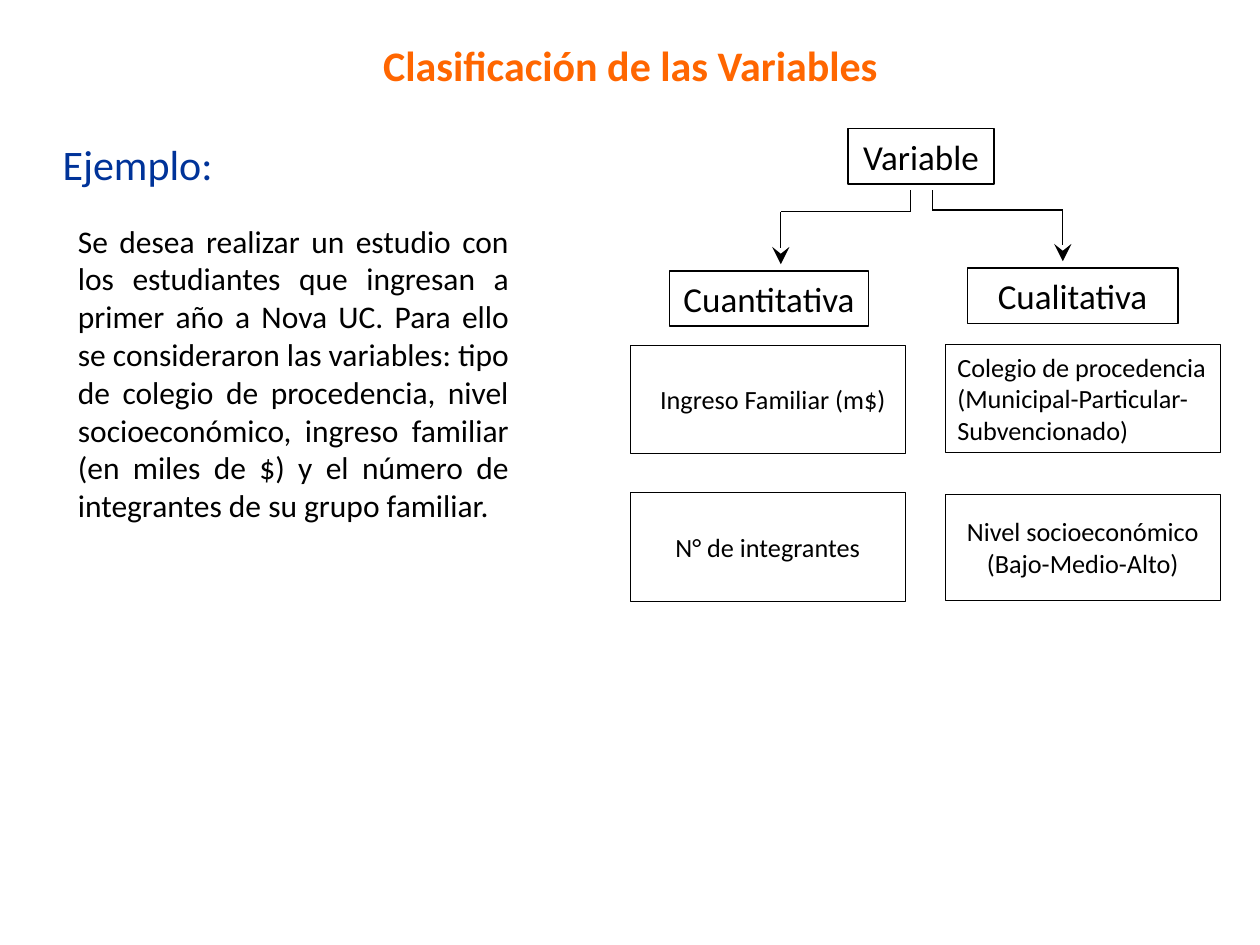
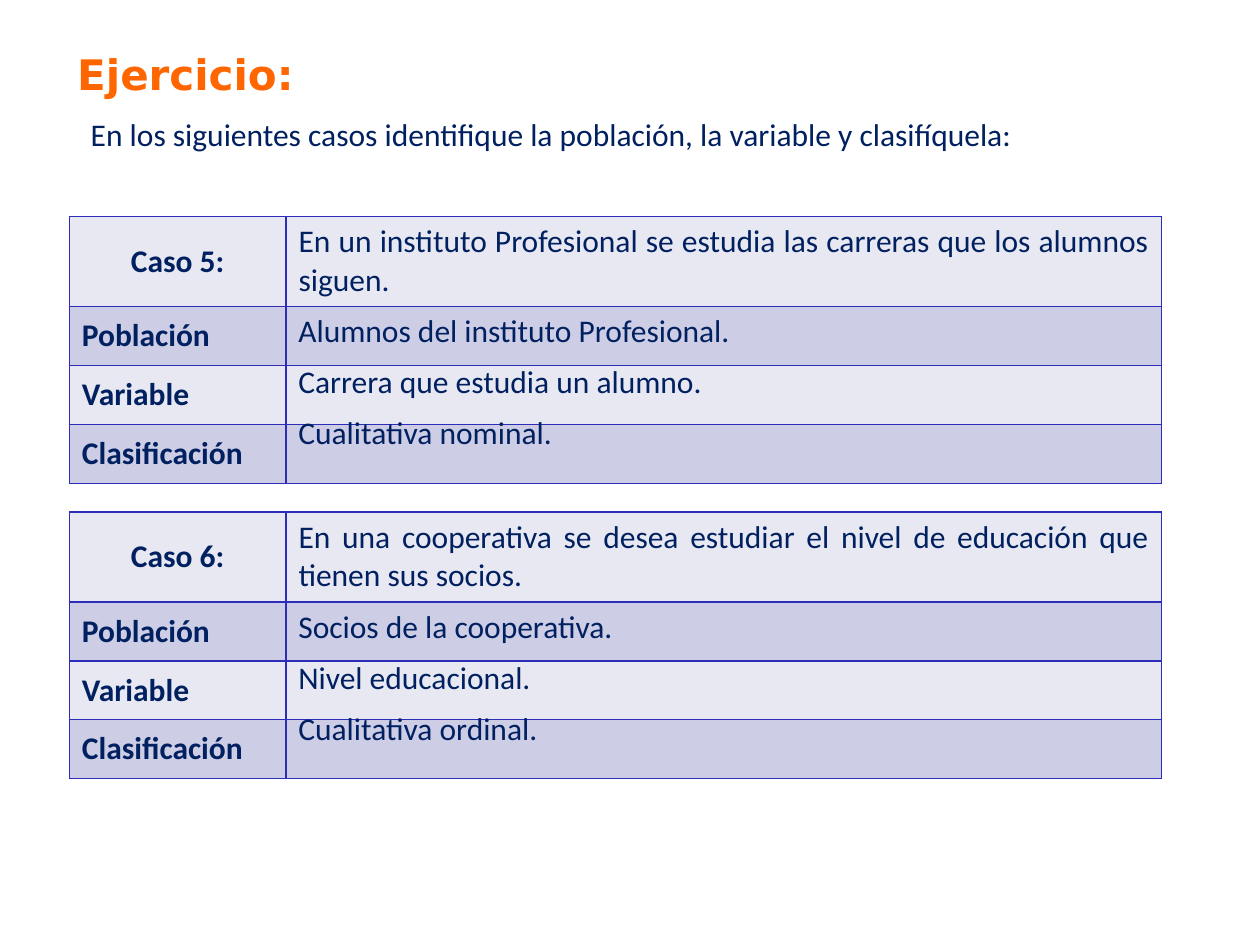
import itertools
from dataclasses import dataclass
from typing import Any, NamedTuple

import lxml.etree
import pptx
import pptx.dml.color
import pptx.enum.shapes
import pptx.enum.text
import pptx.oxml.ns
import pptx.util

Pt = pptx.util.Pt
ALIGN = pptx.enum.text.PP_ALIGN
ANCHOR = pptx.enum.text.MSO_ANCHOR


@dataclass(frozen=True)
class Theme:
    font: str = "Calibri"
    exercise_font: str = "DejaVu Sans"
    title: str = "FF6600"
    heading: str = "003399"
    ink: str = "000000"
    navy: str = "002060"
    paper: str = "FFFFFF"
    border: str = "2D2DB9"
    bands: tuple[str, str] = ("E8E8F3", "CDCDE6")
    title_size: float = 24
    category_size: float = 20
    body_size: float = 18
    example_size: float = 15


THEME = Theme()


class Area(NamedTuple):
    left: float
    top: float
    width: float
    height: float

    def lengths(self) -> list[int]:
        return [Pt(value) for value in self]


class Box(NamedTuple):
    text: str
    area: Area
    align: Any = ALIGN.CENTER
    indent: float = 0


class Branch(NamedTuple):
    start_x: float
    bend_y: float
    end_x: float
    end_y: float


class Case(NamedTuple):
    name: str
    statement: str
    answers: tuple[str, str, str]
    table_top: float
    answers_top: float


# Content of the classification slide
EXAMPLE = (
    "Se desea realizar un estudio con los estudiantes que ingresan a primer año a "
    "Nova UC. Para ello se consideraron las variables: tipo de colegio de procedencia, "
    "nivel socioeconómico, ingreso familiar (en miles de $) y el número de integrantes "
    "de su grupo familiar."
)
CATEGORIES = [
    Box("Variable", Area(484.6, 73.5, 83.5, 31.7)),
    Box("Cuantitativa", Area(382.5, 154.8, 113.8, 31.7)),
    Box("Cualitativa", Area(552.8, 153.2, 120.2, 31.7)),
]
VARIABLES = [
    Box("Ingreso Familiar (m$)", Area(360, 197, 157.5, 62), ALIGN.LEFT, 10),
    Box("N° de integrantes", Area(360, 281.5, 157.5, 62)),
    Box("Colegio de procedencia\n(Municipal-Particular-Subvencionado)",
        Area(540, 196.7, 157.5, 62), ALIGN.JUSTIFY),
    Box("Nivel socioeconómico\n(Bajo-Medio-Alto)", Area(540, 282.3, 157.5, 60.5)),
]
BRANCH_TOP = 108.7
BRANCHES = [Branch(520.2, 121, 446.2, 151), Branch(532.8, 120, 607.3, 149.3)]

# Content of the exercise slide
ROW_LABELS = ("Población", "Variable", "Clasificación")
COLUMN_WIDTHS = (123.8, 500.4)
ROW_HEIGHTS = (51.4, 33.7, 33.7, 33.7)
TABLE_LEFT = 39.6
ANSWER_LEFT, ANSWER_WIDTH, ANSWER_STEP = 163.4, 495, 29.2
CASES = [
    Case("Caso 5:",
         "En un instituto Profesional se estudia las carreras que los alumnos siguen.",
         ("Alumnos del instituto Profesional.", "Carrera que estudia un alumno.",
          "Cualitativa nominal."), 123.8, 174.3),
    Case("Caso 6:",
         "En una cooperativa se desea estudiar el nivel de educación que tienen sus socios.",
         ("Socios de la cooperativa.", "Nivel educacional.", "Cualitativa ordinal."),
         292.5, 343.2),
]


def rgb(value: str) -> pptx.dml.color.RGBColor:
    return pptx.dml.color.RGBColor.from_string(value)


def write_text(frame: Any, text: str, *, size: float = THEME.body_size,
               color: str = THEME.ink, font: str = THEME.font, bold: bool = False,
               align: Any = ALIGN.LEFT, anchor: Any = ANCHOR.TOP,
               wrap: bool = True) -> None:
    frame.word_wrap = wrap
    frame.vertical_anchor = anchor
    frame.text = text
    for paragraph in frame.paragraphs:
        paragraph.alignment = align
        for run in paragraph.runs:
            run.font.name = font
            run.font.size = Pt(size)
            run.font.bold = bold
            run.font.color.rgb = rgb(color)


def add_title_slide(presentation: Any, text: str, area: Area, **text_format: Any) -> Any:
    slide = presentation.slides.add_slide(presentation.slide_layouts[5])
    title = slide.shapes.title
    title.left, title.top, title.width, title.height = area.lengths()
    title.text_frame.auto_size = pptx.enum.text.MSO_AUTO_SIZE.NONE
    write_text(title.text_frame, text, size=THEME.title_size, color=THEME.title,
               bold=True, **text_format)
    return slide


def add_text(slide: Any, text: str, area: Area, **text_format: Any) -> None:
    shape = slide.shapes.add_textbox(*area.lengths())
    write_text(shape.text_frame, text, **text_format)


def add_box(slide: Any, box: Box, *, line: str = THEME.ink, line_width: float = 1,
            filled: bool = True, **text_format: Any) -> None:
    shape = slide.shapes.add_shape(
        pptx.enum.shapes.MSO_SHAPE.RECTANGLE, *box.area.lengths())
    shape.shadow.inherit = False
    if filled:
        shape.fill.solid()
        shape.fill.fore_color.rgb = rgb(THEME.paper)
    else:
        shape.fill.background()
    shape.line.color.rgb = rgb(line)
    shape.line.width = Pt(line_width)
    shape.text_frame.margin_left = Pt(7.2 + box.indent)
    write_text(shape.text_frame, box.text, align=box.align, **text_format)


def add_branch(slide: Any, branch: Branch) -> None:
    corners = [(branch.start_x, BRANCH_TOP), (branch.start_x, branch.bend_y),
               (branch.end_x, branch.bend_y), (branch.end_x, branch.end_y)]
    for start, end in itertools.pairwise(corners):
        connector = slide.shapes.add_connector(
            pptx.enum.shapes.MSO_CONNECTOR.STRAIGHT,
            *[Pt(value) for value in start + end])
        connector.line.color.rgb = rgb(THEME.ink)
        connector.line.width = Pt(0.75)
        properties = connector._element.spPr
        if end == corners[-1]:
            lxml.etree.SubElement(
                properties.find(pptx.oxml.ns.qn("a:ln")), pptx.oxml.ns.qn("a:tailEnd"),
                {"type": "stealth", "w": "lg", "len": "lg"})
        lxml.etree.SubElement(properties, pptx.oxml.ns.qn("a:effectLst"))


def format_cell(cell: Any, fill: str) -> None:
    properties = cell._tc.get_or_add_tcPr()
    for side in ("lnL", "lnR", "lnT", "lnB"):
        border = lxml.etree.SubElement(
            properties, pptx.oxml.ns.qn(f"a:{side}"), {"w": str(Pt(1))})
        solid = lxml.etree.SubElement(border, pptx.oxml.ns.qn("a:solidFill"))
        lxml.etree.SubElement(
            solid, pptx.oxml.ns.qn("a:srgbClr"), {"val": THEME.border})
    cell.fill.solid()
    cell.fill.fore_color.rgb = rgb(fill)


def write_cell(cell: Any, text: str, **text_format: Any) -> None:
    write_text(cell.text_frame, text, color=THEME.navy, **text_format)


def add_case(slide: Any, case: Case) -> None:
    area = Area(TABLE_LEFT, case.table_top, sum(COLUMN_WIDTHS), sum(ROW_HEIGHTS))
    table = slide.shapes.add_table(
        len(ROW_HEIGHTS), len(COLUMN_WIDTHS), *area.lengths()).table
    table.first_row = table.horz_banding = False
    for column, width in zip(table.columns, COLUMN_WIDTHS):
        column.width = Pt(width)
    for index, (row, height) in enumerate(zip(table.rows, ROW_HEIGHTS)):
        row.height = Pt(height)
        for cell in row.cells:
            format_cell(cell, THEME.bands[index % 2])

    # Case name, statement and row labels
    for index, label in enumerate((case.name, *ROW_LABELS)):
        cell = table.cell(index, 0)
        write_cell(cell, label, bold=True,
                   align=ALIGN.LEFT if index else ALIGN.CENTER)
        cell.vertical_anchor = ANCHOR.MIDDLE
    write_cell(table.cell(0, 1), case.statement, align=ALIGN.JUSTIFY)

    # Answers laid over the table
    for index, answer in enumerate(case.answers):
        top = case.answers_top + index * ANSWER_STEP
        add_text(slide, answer, Area(ANSWER_LEFT, top, ANSWER_WIDTH, ANSWER_STEP),
                 color=THEME.navy)


def build_classification(presentation: Any) -> None:
    slide = add_title_slide(presentation, "Clasificación de las Variables",
                            Area(118.8, 18.9, 483, 36.3), align=ALIGN.CENTER)
    add_text(slide, "Ejemplo:", Area(22.5, 73.5, 112.3, 39.6), size=THEME.title_size,
             color=THEME.heading, align=ALIGN.CENTER, anchor=ANCHOR.MIDDLE)
    add_box(slide, Box(EXAMPLE, Area(37.4, 123.1, 260.6, 203.8), ALIGN.JUSTIFY),
            line=THEME.paper, line_width=2)

    # Tree of categories and the variables under each one
    for box in CATEGORIES:
        add_box(slide, box, filled=False, size=THEME.category_size,
                anchor=ANCHOR.MIDDLE, wrap=False)
    for branch in BRANCHES:
        add_branch(slide, branch)
    for box in VARIABLES:
        add_box(slide, box, line_width=0.25, size=THEME.example_size,
                anchor=ANCHOR.MIDDLE)


def build_exercise(presentation: Any) -> None:
    slide = add_title_slide(presentation, "Ejercicio:", Area(36.9, 24, 218, 36.3),
                            font=THEME.exercise_font)
    add_text(slide,
             "En los siguientes casos identifique la población, la variable y clasifíquela:",
             Area(44.8, 62, 635.8, 29.1), color=THEME.navy, align=ALIGN.JUSTIFY)
    for case in CASES:
        add_case(slide, case)


def main() -> None:
    presentation = pptx.Presentation()
    presentation.slide_width, presentation.slide_height = Pt(720), Pt(540)
    build_classification(presentation)
    build_exercise(presentation)
    presentation.save("out.pptx")


if __name__ == "__main__":
    main()
